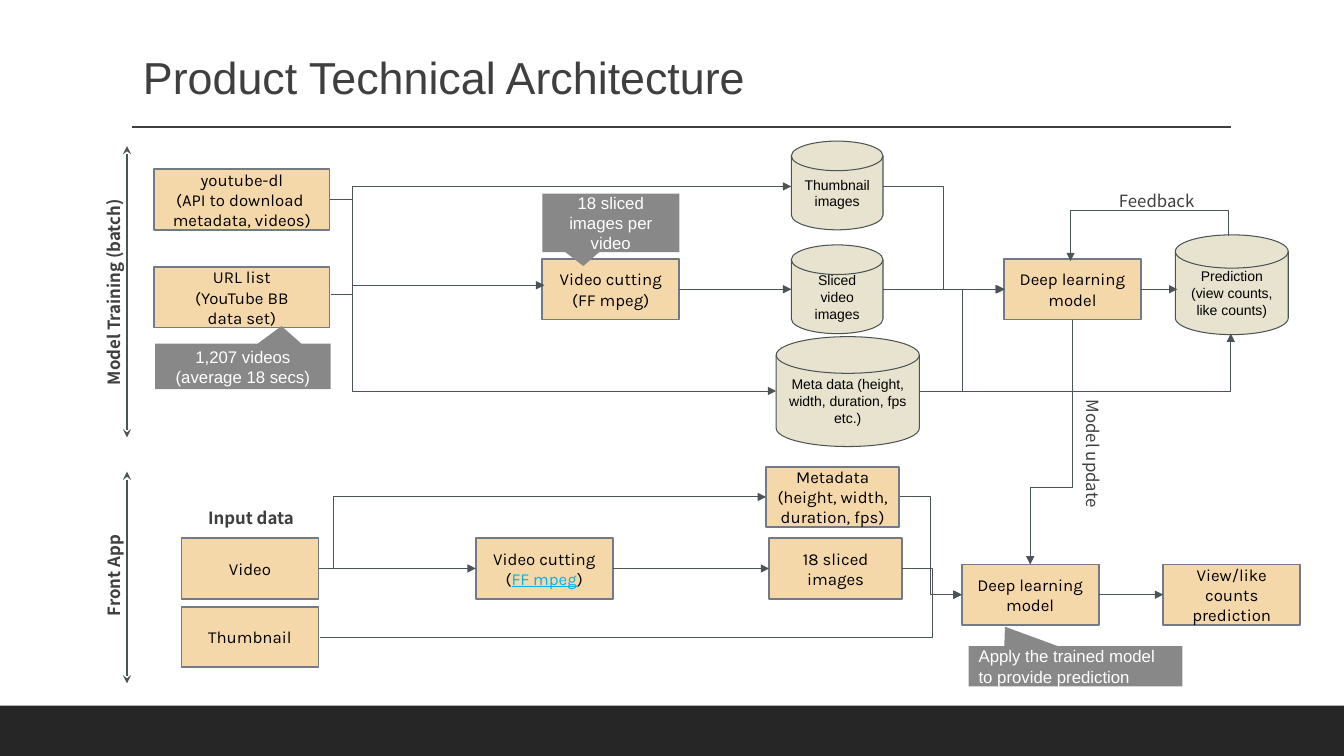
from dataclasses import dataclass

from lxml import etree
from pptx import Presentation
from pptx.dml.color import RGBColor
from pptx.enum.shapes import MSO_CONNECTOR, MSO_SHAPE
from pptx.enum.text import MSO_ANCHOR, MSO_UNDERLINE, PP_ALIGN
from pptx.oxml.ns import qn
from pptx.util import Inches, Pt

RECT, DISK, CALL = (MSO_SHAPE.RECTANGLE, MSO_SHAPE.FLOWCHART_MAGNETIC_DISK,
                    MSO_SHAPE.RECTANGULAR_CALLOUT)
LINE, ELBOW = MSO_CONNECTOR.STRAIGHT, MSO_CONNECTOR.ELBOW
LEFT, MID = PP_ALIGN.LEFT, PP_ALIGN.CENTER
CENTER, LOW = MSO_ANCHOR.MIDDLE, MSO_ANCHOR.BOTTOM
SINGLE = MSO_UNDERLINE.SINGLE_LINE

COLORS = {"ink": "3F3F3F", "foot": "262626", "step": "F5D8A9", "edge": "717A85",
          "store": "E8E3CE", "wire": "4A5356", "note": "888888",
          "black": "000000", "white": "FFFFFF", "link": "00B0F0"}
COLS, ROWS = 133.33, 75  # grid cells of a tenth of an inch
SIDES = {"left": 1, "right": 3}


@dataclass(frozen=True)
class Style:
    shape: MSO_SHAPE | None
    font: str
    size: int
    color: str
    fill: str = ""
    edge: str = ""
    weight: float = 0
    pad: tuple[float, float] = (1, 0.5)
    gap: float = 1
    anchor: MSO_ANCHOR = CENTER


STEP = Style(RECT, "Karla", 12, "black", "step", "edge", 1.25)
STORE = Style(DISK, "Arial", 10, "black", "store", "wire", 0.75, (1, 1))
NOTE = Style(CALL, "Arial", 12, "white", "note", pad=(1, 1))
LABEL = Style(None, "Noto Sans CJK JP", 12, "ink", pad=(0, 0.5), gap=1.1)
TITLE = Style(None, "Arial", 32, "ink", gap=0.9, anchor=LOW)
FOOT = Style(RECT, "Arial", 12, "white", "foot")


@dataclass(frozen=True)
class Node:
    style: Style
    col: float
    row: float
    text: tuple[str, ...] = ()
    wide: float = 13.6
    high: float = 6
    name: str = ""
    tip: tuple[float, ...] = ()
    turn: int = 0
    bold: bool = False
    align: PP_ALIGN = MID


@dataclass(frozen=True)
class Wire:
    start: tuple[float, float] | str
    end: tuple[float, float] | str
    head: str = ""
    tail: str = "triangle"
    color: str = "wire"
    weight: float = 0.75


@dataclass(frozen=True)
class Bend:
    start: tuple[float, float]
    end: tuple[float, float]
    at: float | None = None  # column, or row if upright, of the middle leg
    upright: bool = False


MAIN, CLIP, META = 28.7, 56.4, 38.8  # centre rows of the flows
APP, SPLIT = 59, 35

NODES = [
    Node(FOOT, 0, 70, wide=COLS, high=5),
    Node(TITLE, 13.2, 3.1, ("Product Technical Architecture",), 108.8, 7.7, align=LEFT),
    Node(STEP, 15.3, 16.8, ("youtube-dl\n(API to download \nmetadata, videos)",), 17.4),
    Node(STEP, 15.3, 26.5, ("URL list", "(YouTube BB\ndata set)"), 17.4),
    Node(STEP, 53.8, MAIN - 3, ("Video cutting\n(FF mpeg)",), name="cut"),
    Node(STEP, 99.6, MAIN - 3, ("Deep learning model",), name="model"),
    Node(STEP, 18, CLIP - 3, ("Video",), name="video"),
    Node(STEP, 18, 60.2, ("Thumbnail",)),
    Node(STEP, 47.2, CLIP - 3, ("Video cutting\n(*FF mpeg*)",), name="clip"),
    Node(STEP, 76.3, CLIP - 3, ("18 sliced images",), 13.2, name="slices"),
    Node(STEP, 76, 46.3, ("Metadata\n(height, width, duration, fps)",), 13.2),
    Node(STEP, 95.4, APP - 3, ("Deep learning model",), name="app"),
    Node(STEP, 115.4, APP - 3, ("View/like counts prediction",), name="views"),
    Node(STORE, 78.5, 14, ("Thumbnail images",), 9.1, 8.8),
    Node(STORE, 78.5, 24.3, ("Sliced video images",), 9.1, 8.8),
    Node(STORE, 77, 33.4, ("Meta data (height, width, duration, fps etc.)",), 14.2, 10.9),
    Node(STORE, 116.6, 23.3, ("Prediction\n(view counts, like counts)",), 11.2, 9.9),
    Node(NOTE, 15.4, 34.1, ("1,207 videos", "(average 18 secs)"), 17.4, 4.5,
         tip=(0.22, -0.89)),
    Node(NOTE, 53.8, 19.2, ("18 sliced images per video",), 13.6, 5.8, tip=(-0.2, 0.74)),
    Node(NOTE, 96.1, 64.1, ("Apply the trained model to provide prediction",), 21.2, 4,
         tip=(-0.33, -0.98), align=LEFT),
    Node(LABEL, -3.3, 27.6, ("Model Training (batch)",), 28.9, 2.8, turn=270, bold=True),
    Node(LABEL, 0.5, 55.7, ("Front App",), 21.4, 2.8, turn=270, bold=True),
    Node(LABEL, 103.1, 43.6, ("Model update",), 10.9, 2.8, turn=90),
    Node(LABEL, 106.4, 18.4, ("Feedback",), 16.7, 2.8),
    Node(LABEL, 18.1, 49.9, ("Input data",), 13.6, 2.8, bold=True),
]
NAMED = {node.name: node for node in NODES if node.name}

WIRES = [
    Wire((13.1, 12.6), (122.1, 12.6), tail="", color="ink", weight=1),
    Wire((12.6, 14.5), (12.6, 43.4), "stealth", "stealth"),
    Wire((12.6, 46.8), (12.6, 67.8), "stealth", "stealth"),
    Wire("cut", (78.5, MAIN)),
    Wire((87.6, MAIN), "model"),
    Wire("model", (116.8, MAIN)),
    Wire("video", "clip"),
    Wire("clip", "slices"),
    Wire("app", "views"),
]
BENDS = [
    Bend((32.7, 19.8), (78.5, 18.5), SPLIT),
    Bend((32.8, 29.2), (54, 28.3), SPLIT),
    Bend((32.7, 19.8), (77, META), SPLIT),
    Bend((87.6, 18.5), (99.6, MAIN), 93.6),
    Bend((91.3, META), (99.7, MAIN), 95.5),
    Bend((91.2, META), (122.1, 33.1)),
    Bend((121.9, 23.4), (106.2, 25.9), 20.9, True),
    Bend((106.4, 31.7), (102.2, 56), 48.4, True),
    Bend((31.7, CLIP), (76, 49.3), 33.1),
    Bend((89.3, 49.3), (95.4, APP), 92.3),
    Bend((89.5, CLIP), (95.4, APP), 92.5),
    Bend((31.7, 63.2), (95.4, APP), 92.5),
]


def cell(count: float) -> int:
    return Inches(count / 10)


def rgb(name: str) -> RGBColor:
    return RGBColor.from_string(COLORS[name])


def write(frame, node: Node) -> None:
    """Fill a frame; text between asterisks is shown as a link."""
    style = node.style
    frame.word_wrap, frame.vertical_anchor = True, style.anchor
    frame.margin_left = frame.margin_right = cell(style.pad[0])
    frame.margin_top = frame.margin_bottom = cell(style.pad[1])
    for i, text in enumerate(node.text):
        para = frame.add_paragraph() if i else frame.paragraphs[0]
        para.alignment, para.line_spacing = node.align, style.gap
        for j, line in enumerate(text.split("\n")):
            if j:
                para.add_line_break()
            for k, part in enumerate(line.split("*")):
                run = para.add_run()
                run.text = part
                font = run.font
                font.name, font.size, font.bold = style.font, Pt(style.size), node.bold
                font.color.rgb = rgb("link" if k % 2 else style.color)
                if k % 2:
                    font.underline = SINGLE


def place(shapes, node: Node):
    style = node.style
    area = [cell(n) for n in (node.col, node.row, node.wide, node.high)]
    if style.shape is None:
        shape = shapes.add_textbox(*area)
    else:
        shape = shapes.add_shape(style.shape, *area)
        shape.shadow.inherit = False
        shape.fill.solid()
        shape.fill.fore_color.rgb = rgb(style.fill)
        if style.edge:
            shape.line.color.rgb, shape.line.width = rgb(style.edge), Pt(style.weight)
        else:
            shape.line.fill.background()
        for i, value in enumerate(node.tip):
            shape.adjustments[i] = value
    shape.rotation = node.turn
    write(shape.text_frame, node)
    return shape


def dress(line, wire: Wire) -> None:
    """Set stroke and arrowheads, and drop the shadow."""
    line.line.color.rgb, line.line.width = rgb(wire.color), Pt(wire.weight)
    stroke = line.line._get_or_add_ln()
    for tag, kind in (("a:headEnd", wire.head), ("a:tailEnd", wire.tail)):
        if kind:
            etree.SubElement(stroke, qn(tag), type=kind)
    etree.SubElement(line._element.spPr, qn("a:effectLst"))


def spot(end: tuple[float, float] | str, side: str) -> tuple[float, float]:
    if isinstance(end, tuple):
        return end
    node = NAMED[end]
    return node.col + node.wide * (side == "right"), node.row + node.high / 2


def draw(shapes, wire: Wire, drawn: dict) -> None:
    ends = spot(wire.start, "right") + spot(wire.end, "left")
    line = shapes.add_connector(LINE, *map(cell, ends))
    if wire.start in drawn:
        line.begin_connect(drawn[wire.start], SIDES["right"])
    if wire.end in drawn:
        line.end_connect(drawn[wire.end], SIDES["left"])
    dress(line, wire)


def fold(shapes, bend: Bend) -> None:
    (x1, y1), (x2, y2) = bend.start, bend.end
    ends = (x1, y1, x2, y2)
    if bend.upright:  # quarter turn about the centre, from top right to bottom left
        x, y, w, h = (x1 + x2) / 2, (y1 + y2) / 2, (y2 - y1) / 2, (x1 - x2) / 2
        ends = (x - w, y - h, x + w, y + h)
    line = shapes.add_connector(ELBOW, *map(cell, ends))
    geom = line._element.spPr.find(qn("a:prstGeom"))
    if bend.upright:
        line._element.spPr.find(qn("a:xfrm")).set("rot", str(90 * 60000))
    if bend.at is None:
        geom.set("prst", "bentConnector2")
    else:
        axis = int(bend.upright)
        share = (bend.at - bend.start[axis]) / (bend.end[axis] - bend.start[axis])
        etree.SubElement(geom.find(qn("a:avLst")), qn("a:gd"), name="adj1",
                         fmla=f"val {round(share * 100000)}")
    dress(line, Wire(bend.start, bend.end))


def main() -> None:
    deck = Presentation()
    deck.slide_width, deck.slide_height = cell(COLS), cell(ROWS)
    shapes = deck.slides.add_slide(deck.slide_layouts[6]).shapes
    drawn = {}
    for node in NODES:
        shape = place(shapes, node)
        if node.name:
            drawn[node.name] = shape
    for wire in WIRES:
        draw(shapes, wire, drawn)
    for bend in BENDS:
        fold(shapes, bend)
    deck.save("out.pptx")


if __name__ == "__main__":
    main()
